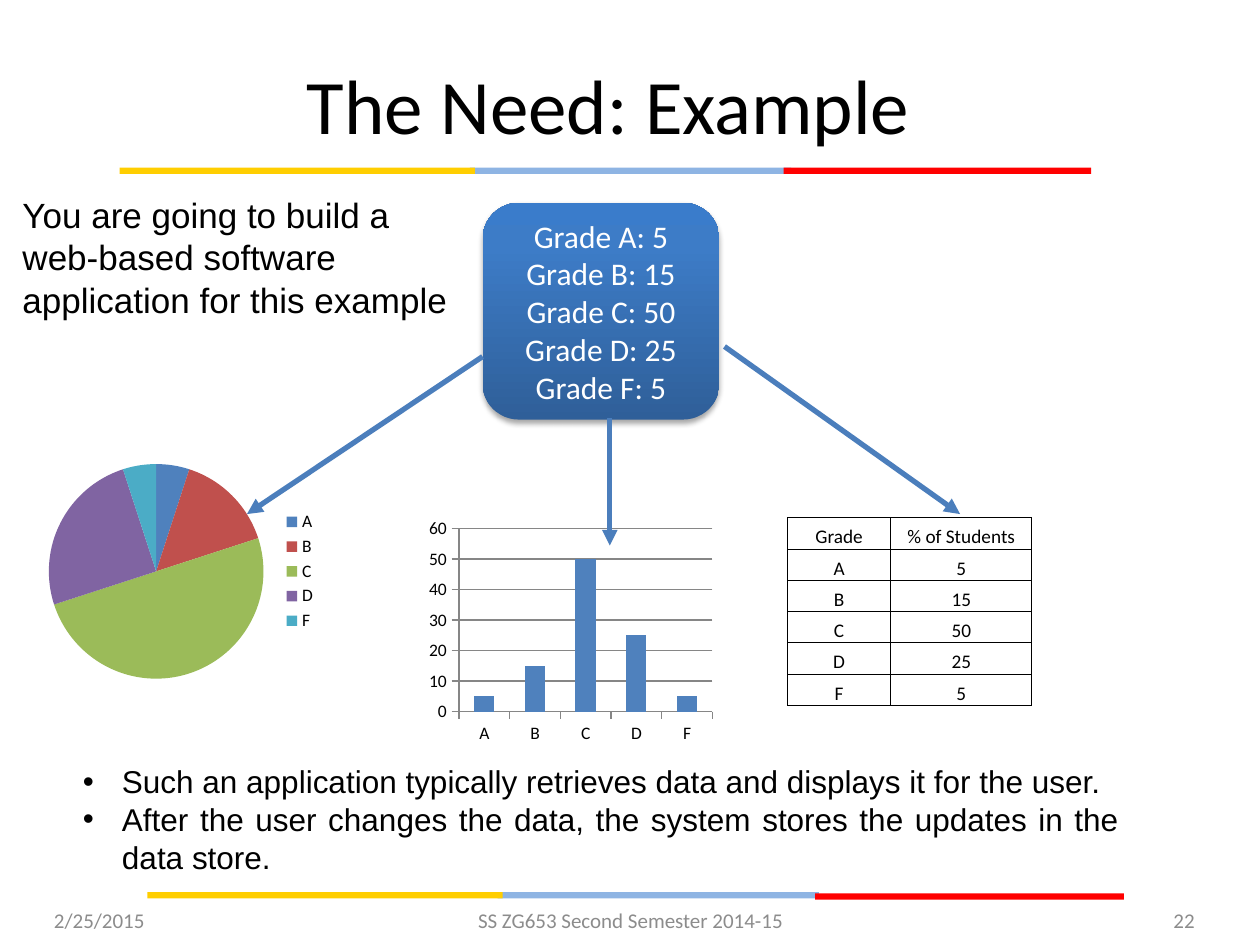
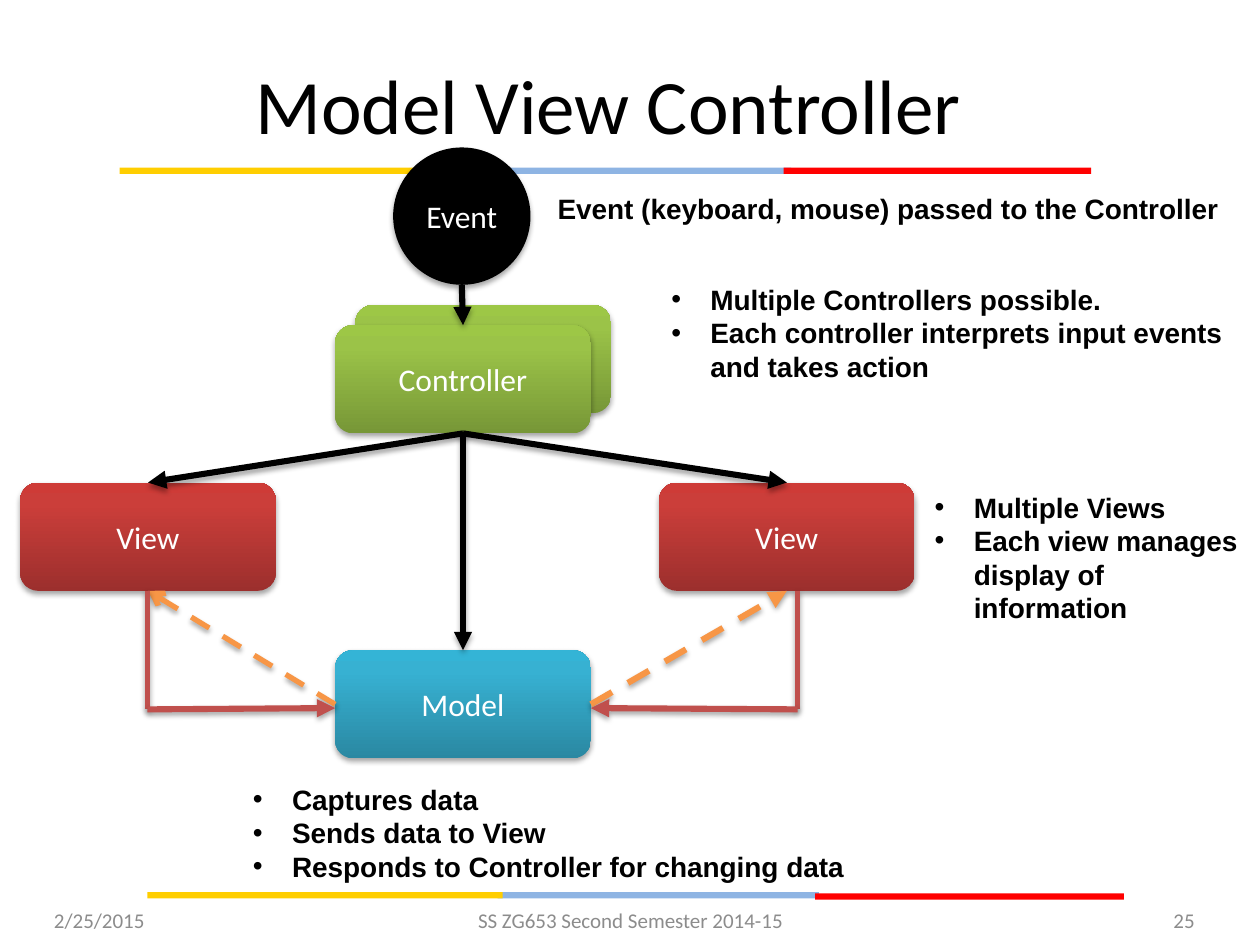
from dataclasses import dataclass

from lxml.etree import SubElement
from pptx import Presentation
from pptx.chart.data import CategoryChartData
from pptx.dml.color import RGBColor
from pptx.enum.chart import XL_CHART_TYPE, XL_LEGEND_POSITION, XL_TICK_MARK
from pptx.enum.dml import MSO_LINE
from pptx.enum.shapes import MSO_CONNECTOR, MSO_SHAPE
from pptx.enum.text import MSO_ANCHOR, MSO_AUTO_SIZE, PP_ALIGN
from pptx.oxml.ns import qn
from pptx.util import Inches, Pt

BLACK, WHITE, GREY, AXIS = "000000", "FFFFFF", "8C8C8C", "868686"
YELLOW, PALE_BLUE, RED = "FFCE00", "8EB4E3", "FF0000"
ARROW_BLUE, ORANGE, BRICK = "4B7EBC", "F79646", "C0504D"
BLUE_SHADES = ("2F5F99", "3D7CC7", "3A7CCB")
GREEN_SHADES = ("779737", "9BC348", "9DC746")
RED_SHADES = ("9C2F2D", "CB3E3A", "CE3B37")
TEAL_SHADES = ("2A88A2", "37B1D2", "34B4D6")
GRADE_COLORS = ("4F81BD", "C0504D", "9BBB59", "8064A2", "4BACC6")
GRADES = {"A": 5, "B": 15, "C": 50, "D": 25, "F": 5}
BANDS = [
    (3.73, 1.33, 2.55, PALE_BLUE), (6.22, 1.33, 2.44, RED), (0.95, 1.33, 2.82, YELLOW),
    (3.95, 7.08, 2.55, PALE_BLUE), (6.47, 7.09, 2.45, RED), (1.17, 7.08, 2.82, YELLOW),
]


@dataclass(frozen=True)
class TextStyle:
    size: float
    font: str = "Calibri"
    color: str = BLACK
    bold: bool = False
    align: PP_ALIGN = PP_ALIGN.LEFT
    bullet: bool = False


@dataclass(frozen=True)
class Node:
    left: float
    top: float
    width: float
    height: float
    shades: tuple
    lines: tuple = ()
    shape: MSO_SHAPE = MSO_SHAPE.ROUNDED_RECTANGLE

    @property
    def center(self) -> float:
        return self.left + self.width / 2

    @property
    def middle(self) -> float:
        return self.top + self.height / 2

    @property
    def top_point(self) -> tuple:
        return self.center, self.top

    @property
    def bottom_point(self) -> tuple:
        return self.center, self.top + self.height

    @property
    def left_point(self) -> tuple:
        return self.left, self.middle

    @property
    def right_point(self) -> tuple:
        return self.left + self.width, self.middle


@dataclass(frozen=True)
class Link:
    start: tuple
    end: tuple
    color: str = BLACK
    width: float = 3.5
    head: str = "triangle"
    dashed: bool = False
    shadow: bool = True


TITLE = TextStyle(44, align=PP_ALIGN.CENTER)
NODE = TextStyle(18, color=WHITE, align=PP_ALIGN.CENTER)
CELL = TextStyle(11, align=PP_ALIGN.CENTER)
INTRO = TextStyle(20, "Arial")
SUMMARY = TextStyle(18, "Arial", align=PP_ALIGN.JUSTIFY, bullet=True)
CAPTION = TextStyle(16, "Arial", bold=True, align=PP_ALIGN.RIGHT)
NOTES = TextStyle(16, "Arial", bold=True, bullet=True)


def rgb(color: str) -> RGBColor:
    return RGBColor.from_string(color)


def inches(*lengths: float) -> list:
    return [Inches(length) for length in lengths]


def write(frame, lines, style: TextStyle) -> None:
    frame.word_wrap = True
    for index, line in enumerate(lines):
        para = frame.add_paragraph() if index else frame.paragraphs[0]
        para.alignment = style.align
        span = para.add_run()
        span.text = line
        span.font.size = Pt(style.size)
        span.font.name = style.font
        span.font.bold = style.bold
        span.font.color.rgb = rgb(style.color)
        if style.bullet:
            properties = para._p.get_or_add_pPr()
            properties.set("marL", str(Inches(0.31)))
            properties.set("indent", str(-Inches(0.31)))
            SubElement(properties, qn("a:buFont")).set("typeface", "Arial")
            SubElement(properties, qn("a:buChar")).set("char", "•")


def add_text(page, place, lines, style: TextStyle, anchor=MSO_ANCHOR.TOP) -> None:
    frame = page.shapes.add_textbox(*inches(*place)).text_frame
    write(frame, lines, style)
    frame.vertical_anchor = anchor
    if anchor == MSO_ANCHOR.TOP:
        frame.auto_size = MSO_AUTO_SIZE.SHAPE_TO_FIT_TEXT


def add_color(parent, color: str):
    element = SubElement(parent, qn("a:srgbClr"))
    element.set("val", color)
    return element


def fill_effects(effects) -> None:
    shadow = SubElement(effects, qn("a:outerShdw"))
    settings = {"blurRad": Pt(3.1), "dist": Pt(1.8), "dir": 90 * 60000, "rotWithShape": 0}
    for name, value in settings.items():
        shadow.set(name, str(value))
    SubElement(add_color(shadow, BLACK), qn("a:alpha")).set("val", "35000")


def add_box(page, shape: MSO_SHAPE, place, color: str):
    box = page.shapes.add_shape(shape, *inches(*place))
    box.shadow.inherit = False
    box.fill.solid()
    box.fill.fore_color.rgb = rgb(color)
    box.line.fill.background()
    return box


def add_node(page, node: Node) -> None:
    box = add_box(page, node.shape, (node.left, node.top, node.width, node.height), node.shades[0])
    properties = box._element.spPr
    if len(node.shades) > 1:
        box.fill.gradient()
        gradient = properties.find(qn("a:gradFill"))
        for child in list(gradient):
            gradient.remove(child)
        stops = SubElement(gradient, qn("a:gsLst"))
        for position, color in zip((0, 80, 100), node.shades):
            stop = SubElement(stops, qn("a:gs"))
            stop.set("pos", str(position * 1000))
            add_color(stop, color)
        SubElement(gradient, qn("a:lin")).set("ang", str(270 * 60000))
    fill_effects(properties.find(qn("a:effectLst")))
    write(box.text_frame, node.lines, NODE)
    box.text_frame.vertical_anchor = MSO_ANCHOR.MIDDLE


def add_link(page, link: Link) -> None:
    line = page.shapes.add_connector(MSO_CONNECTOR.STRAIGHT, *inches(*link.start, *link.end))
    line.line.color.rgb = rgb(link.color)
    line.line.width = Pt(link.width)
    if link.dashed:
        line.line.dash_style = MSO_LINE.DASH
    properties = line._element.spPr
    if link.head:
        SubElement(properties.find(qn("a:ln")), qn("a:tailEnd")).set("type", link.head)
    effects = SubElement(properties, qn("a:effectLst"))
    if link.shadow:
        fill_effects(effects)


def add_page(deck, title: str, number: int):
    page = deck.slides.add_slide(deck.slide_layouts[5])
    for left, top, width, color in BANDS:
        add_box(page, MSO_SHAPE.RECTANGLE, (left, top, width, 0.05), color)
    heading = page.shapes.title
    heading.left, heading.top, heading.width, heading.height = inches(0.33, 0.31, 9, 1.03)
    write(heading.text_frame, [title], TITLE)
    heading.text_frame.vertical_anchor = MSO_ANCHOR.MIDDLE
    footers = [
        (0.33, 2.33, "2/25/2015", PP_ALIGN.LEFT),
        (3.42, 3.17, "SS ZG653 Second Semester 2014-15", PP_ALIGN.CENTER),
        (7.25, 2.33, str(number), PP_ALIGN.RIGHT),
    ]
    for left, width, text, align in footers:
        style = TextStyle(12, color=GREY, align=align)
        add_text(page, (left, 7.1, width, 0.4), [text], style, MSO_ANCHOR.MIDDLE)
    return page


def add_grade_chart(page, kind: XL_CHART_TYPE, place):
    data = CategoryChartData()
    data.categories = list(GRADES)
    data.add_series("Series 1", list(GRADES.values()))
    chart = page.shapes.add_chart(kind, *inches(*place), data).chart
    chart.has_title = False
    chart.has_legend = False
    chart.font.size = Pt(10)
    chart.font.name = "Calibri"
    chart.font.color.rgb = rgb(BLACK)
    return chart


def add_grade_pie(page) -> None:
    chart = add_grade_chart(page, XL_CHART_TYPE.PIE, (0.25, 3.42, 2.36, 2.23))
    chart.has_legend = True
    chart.legend.position = XL_LEGEND_POSITION.RIGHT
    chart.legend.include_in_layout = False
    for index, color in enumerate(GRADE_COLORS):
        fill = chart.plots[0].series[0].points[index].format.fill
        fill.solid()
        fill.fore_color.rgb = rgb(color)


def add_grade_columns(page) -> None:
    chart = add_grade_chart(page, XL_CHART_TYPE.COLUMN_CLUSTERED, (3.36, 4.08, 2.34, 1.86))
    plot = chart.plots[0]
    plot.gap_width = 150
    plot.vary_by_categories = False
    fill = plot.series[0].format.fill
    fill.solid()
    fill.fore_color.rgb = rgb(GRADE_COLORS[0])
    values = chart.value_axis
    values.minimum_scale, values.maximum_scale, values.major_unit = 0, 60, 10
    for axis in (values, chart.category_axis):
        axis.major_tick_mark = XL_TICK_MARK.OUTSIDE
        axis.format.line.color.rgb = rgb(AXIS)
    values.major_gridlines.format.line.color.rgb = rgb(AXIS)


def add_grade_table(page) -> None:
    rows = [("Grade", "% of Students"), *((grade, str(share)) for grade, share in GRADES.items())]
    table = page.shapes.add_table(len(rows), 2, *inches(6.25, 4.11, 1.94, 1.49)).table
    table.first_row = table.horz_banding = False
    for column, width in zip(table.columns, (0.82, 1.12)):
        column.width = Inches(width)
    for row_index, row in enumerate(rows):
        table.rows[row_index].height = Inches(1.49 / len(rows))
        for column_index, text in enumerate(row):
            cell = table.cell(row_index, column_index)
            cell.margin_left = cell.margin_right = cell.margin_top = cell.margin_bottom = 0
            cell.vertical_anchor = MSO_ANCHOR.BOTTOM
            write(cell.text_frame, [text], CELL)
            properties = cell._tc.get_or_add_tcPr()
            for side in ("L", "R", "T", "B"):
                border = SubElement(properties, qn(f"a:ln{side}"))
                border.set("w", str(Pt(0.5)))
                add_color(SubElement(border, qn("a:solidFill")), BLACK)
            cell.fill.background()


def build_need_page(deck) -> None:
    page = add_page(deck, "The Need: Example", 22)
    lines = tuple(f"Grade {grade}: {share}" for grade, share in GRADES.items())
    add_node(page, Node(3.83, 1.61, 1.88, 1.72, BLUE_SHADES, lines))
    add_grade_pie(page)
    add_grade_columns(page)
    add_grade_table(page)
    for start, end in [((3.83, 2.83), (1.96, 4.08)), ((4.84, 3.32), (4.84, 4.33)),
                       ((5.75, 2.75), (7.62, 4.08))]:
        add_link(page, Link(start, end, ARROW_BLUE, 3, shadow=False))
    add_text(page, (0.08, 1.49, 3.58, 1.11),
             ["You are going to build a web-based software application for this example"], INTRO)
    add_text(page, (0.56, 6, 8.42, 1.01), [
        "Such an application typically retrieves data and displays it for the user.",
        "After the user changes the data, the system stores the updates in the data store.",
    ], SUMMARY)


def build_controller_page(deck) -> None:
    page = add_page(deck, "Model View Controller", 25)
    size = (2.03, 0.86)
    back_controller = Node(2.82, 2.42, *size, GREEN_SHADES)
    event = Node(3.12, 1.17, 1.09, 1.09, (BLACK,), ("Event",), MSO_SHAPE.OVAL)
    controller = Node(2.66, 2.58, *size, GREEN_SHADES, ("Controller",))
    left_view = Node(0.16, 3.83, *size, RED_SHADES, ("View",))
    right_view = Node(5.23, 3.83, *size, RED_SHADES, ("View",))
    model = Node(2.66, 5.16, *size, TEAL_SHADES, ("Model",))
    for node in (back_controller, event, controller, left_view, right_view, model):
        add_node(page, node)
    for target in (right_view, model, left_view):
        add_link(page, Link(controller.bottom_point, target.top_point))
    add_link(page, Link(event.bottom_point, controller.top_point))
    add_link(page, Link(model.right_point, right_view.bottom_point, ORANGE, dashed=True))
    add_link(page, Link(model.left_point, left_view.bottom_point, ORANGE, 3, "arrow", True))
    for x, model_side in ((6.33, model.right_point[0]), (1.17, model.left)):
        corner = (x, 5.63)
        add_link(page, Link((x, left_view.bottom_point[1]), corner, BRICK, 3, ""))
        add_link(page, Link(corner, (model_side, 5.62), BRICK))
    add_text(page, (4.22, 1.47, 5.55, 0.37),
             ["Event (keyboard, mouse) passed to the Controller"], CAPTION)
    notes = [
        ((5.23, 2.19, 4.68, 0.91), ["Multiple Controllers possible.",
                                    "Each controller interprets input events and takes action"]),
        ((7.32, 3.84, 2.68, 1.18), ["Multiple Views", "Each view manages display of information"]),
        ((1.91, 6.16, 5.17, 0.91), ["Captures data", "Sends data to View",
                                    "Responds to Controller for changing data"]),
    ]
    for place, lines in notes:
        add_text(page, place, lines, NOTES)


def main() -> None:
    deck = Presentation()
    deck.slide_width, deck.slide_height = inches(10, 7.5)
    build_need_page(deck)
    build_controller_page(deck)
    deck.save("out.pptx")


if __name__ == "__main__":
    main()
